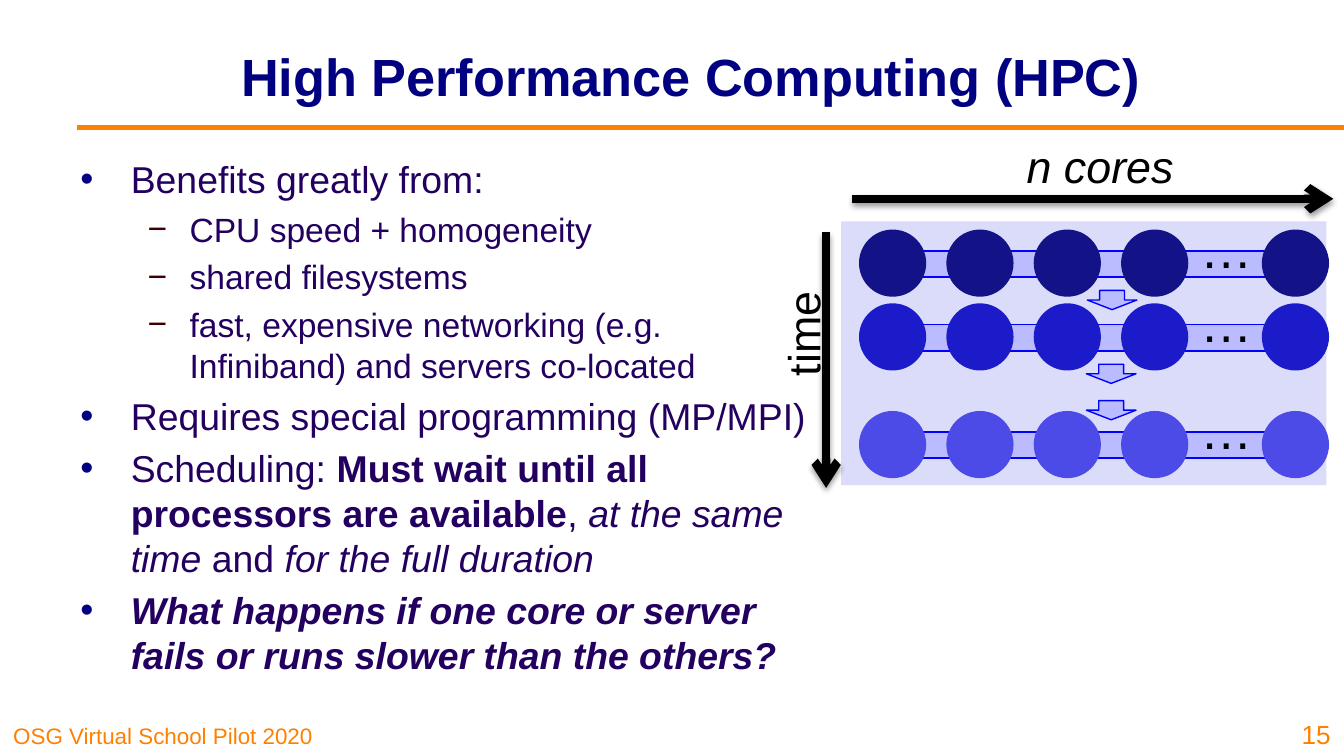
from lxml.etree import SubElement
from pptx import Presentation
from pptx.dml.color import RGBColor
from pptx.enum.shapes import MSO_CONNECTOR, MSO_SHAPE
from pptx.enum.text import MSO_ANCHOR, PP_ALIGN
from pptx.oxml.ns import qn
from pptx.util import Pt

# Content: (level, runs), each run a text and its style
TITLE = "High Performance Computing (HPC)"
FOOTER = "OSG Virtual School Pilot 2020"
NUMBER = "15"
POINTS = [
    (0, [("Benefits greatly from:", "")]),
    (1, [("CPU speed + homogeneity", "")]),
    (1, [("shared filesystems", "")]),
    (1, [("fast, expensive networking (e.g. Infiniband) and servers co-located", "")]),
    (0, [("Requires special programming (MP/MPI)", "")]),
    (0, [("Scheduling: ", ""), ("Must wait until all processors are available", "b"),
         (", ", ""), ("at the same time", "i"), (" and ", ""),
         ("for the full duration", "i")]),
    (0, [("What happens if one core or server fails or runs slower than the others?", "bi")]),
]
# Per level: size, line pitch, left margin, hanging indent, mark, mark colour
LEVELS = [(20, 24, 27, 27, "•", "000080"), (18, 22, 58.5, 22.5, "−", "3C0000")]

# Diagram: row tops with core colours, core lefts, step arrows
ROWS = [(123, "131287"), (162.5, "1C1BCA"), (220.2, "4C4BE7")]
CORES = [460.2 + 46.8 * n for n in range(4)] + [676]
CORE = 36
STEPS = [(582.5, 155.6), (582, 195.1), (582, 214.6)]
ORANGE, NAVY, INK = "FF8000", "000080", "23005F"
PALE, BLUE, BLACK = "BBBBFF", "0000FF", "000000"


def rgb(code):
    return RGBColor.from_string(code)


def style(run, size, color, marks=""):
    font = run.font
    font.name, font.size = "Arial", Pt(size)
    font.color.rgb = rgb(color)
    font.bold, font.italic = "b" in marks, "i" in marks


def frame(x, y, w, h, anchor=MSO_ANCHOR.TOP, wrap=True):
    box = slide.shapes.add_textbox(Pt(x), Pt(y), Pt(w), Pt(h))
    box.text_frame.word_wrap = wrap
    box.text_frame.vertical_anchor = anchor
    return box


def text(words, x, y, w, h, size=24, color=BLACK, marks="", align=PP_ALIGN.LEFT,
         anchor=MSO_ANCHOR.TOP, wrap=True, turn=0):
    box = frame(x, y, w, h, anchor, wrap)
    box.rotation = turn
    para = box.text_frame.paragraphs[0]
    para.alignment = align
    run = para.add_run()
    run.text = words
    style(run, size, color, marks)


def shape(kind, x, y, w, h, fill, line=None, width=1):
    item = slide.shapes.add_shape(kind, Pt(x), Pt(y), Pt(w), Pt(h))
    item.shadow.inherit = False
    item.fill.solid()
    item.fill.fore_color.rgb = rgb(fill)
    if line:
        item.line.color.rgb = rgb(line)
        item.line.width = Pt(width)
    else:
        item.line.fill.background()
    return item


def rule(x1, y1, x2, y2, color, width, arrow=False):
    item = slide.shapes.add_connector(MSO_CONNECTOR.STRAIGHT, Pt(x1), Pt(y1), Pt(x2), Pt(y2))
    item.line.color.rgb = rgb(color)
    item.line.width = Pt(width)
    props = item.line._get_or_add_ln()
    effect = SubElement(item._element.spPr, qn("a:effectLst"))
    if arrow:
        SubElement(props, qn("a:tailEnd"), type="arrow")
        shade = SubElement(effect, qn("a:outerShdw"), blurRad=str(Pt(3.1)),
                           dist=str(Pt(1.6)), dir="5400000", rotWithShape="0")
        tint = SubElement(shade, qn("a:srgbClr"), val=BLACK)
        SubElement(tint, qn("a:alpha"), val="38000")


def bullet(para, left, hang, mark, color):
    props = para._p.get_or_add_pPr()
    props.set("marL", str(Pt(left)))
    props.set("indent", str(-Pt(hang)))
    SubElement(SubElement(props, qn("a:buClr")), qn("a:srgbClr"), val=color)
    SubElement(props, qn("a:buFont"), typeface="Arial")
    SubElement(props, qn("a:buChar"), char=mark)


deck = Presentation()
deck.slide_width, deck.slide_height = Pt(720), Pt(405)
slide = deck.slides.add_slide(deck.slide_layouts[6])

# Footer, title and rule
text(FOOTER, 0, 382.5, 178.5, 22.5, size=12, color=ORANGE, anchor=MSO_ANCHOR.BOTTOM)
rule(41.2, 68.3, 720, 68.3, ORANGE, 3)
text(TITLE, 96.5, 6.5, 547, 67.7, size=28, color=NAVY, marks="b",
     align=PP_ALIGN.CENTER, anchor=MSO_ANCHOR.MIDDLE)
text(NUMBER, 687, 378, 33, 27, size=14, color=ORANGE, align=PP_ALIGN.RIGHT,
     anchor=MSO_ANCHOR.BOTTOM)

# Bullet list
body = frame(36, 80.2, 408.2, 276.5).text_frame
for n, (level, runs) in enumerate(POINTS):
    size, pitch, left, hang, mark, color = LEVELS[level]
    para = body.add_paragraph() if n else body.paragraphs[0]
    para.level = level
    bullet(para, left, hang, mark, color)
    para.line_spacing = Pt(pitch)
    para.space_before = Pt(0.2 * size if n else 0)
    for words, marks in runs:
        run = para.add_run()
        run.text = words
        style(run, size, INK, marks)

# Diagram panel and axes
shape(MSO_SHAPE.RECTANGLE, 450.6, 118.6, 260, 141.3, "DBDBFA")
rule(442.6, 124.5, 442.6, 261.4, BLACK, 4.5, arrow=True)
text("time", 397.4, 157.7, 65.5, 36.3, turn=270)
rule(456.6, 106.5, 714.3, 106.5, BLACK, 4.5, arrow=True)
text("n cores", 542.9, 70.8, 154.8, 36.3, marks="i")

# Rows of cores joined by a bar
for top, color in ROWS:
    shape(MSO_SHAPE.RECTANGLE, 481.7, top + 11.4, 223, 14, PALE, BLUE)
    for x in CORES:
        shape(MSO_SHAPE.OVAL, x, top, CORE, CORE, color)
    text("…", 635.8, top - 10.8, 42.5, 41.2, size=28, wrap=False)

# Steps between rows
for x, y in STEPS:
    shape(MSO_SHAPE.DOWN_ARROW, x, y, 26.6, 10.3, PALE, BLUE, 0.75)

deck.save("out.pptx")
